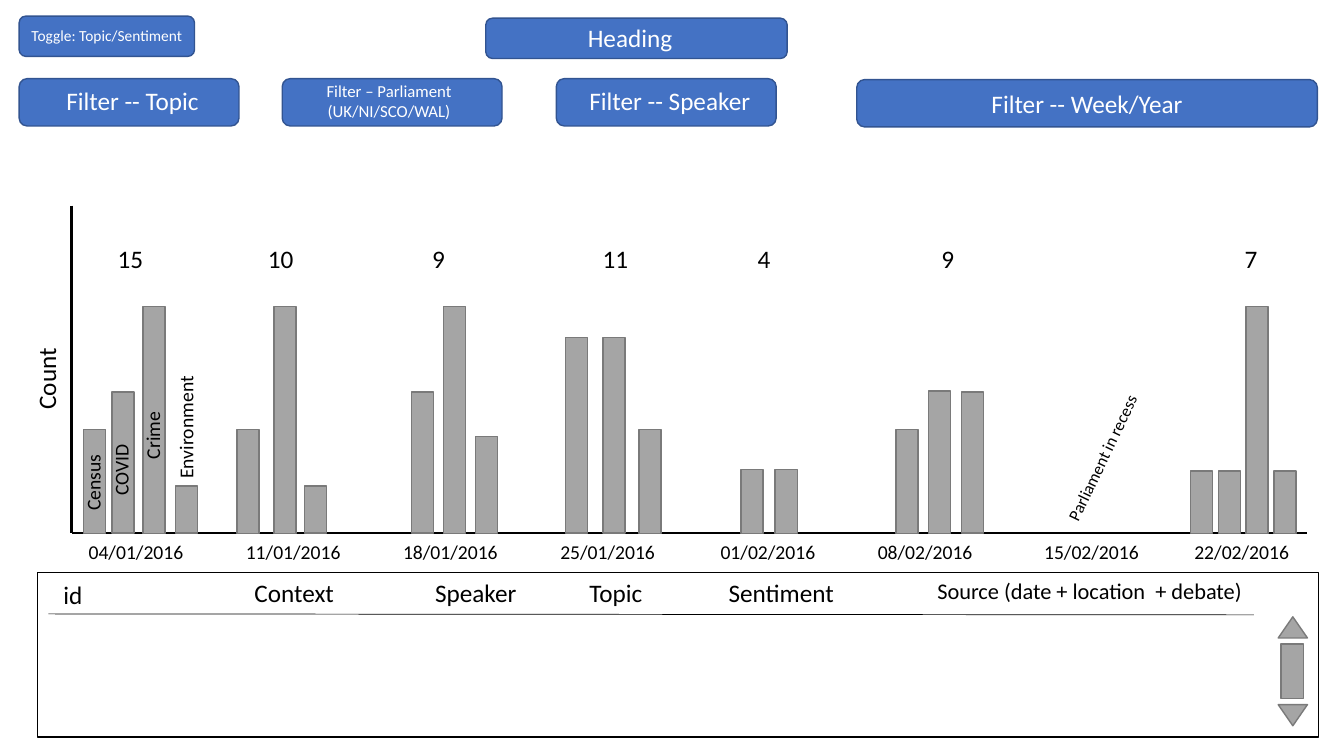
from lxml import etree
from pptx import Presentation
from pptx import util as u
from pptx.dml.color import RGBColor
from pptx.enum import shapes, text
from pptx.oxml import ns

THEME = {
    "font": "Calibri",
    "ink": "000000", "paper": "FFFFFF",
    "button": "4472C4", "button_line": "325491",
    "bar": "A5A5A5", "bar_line": "7A7A7A",
    "large": 18, "medium": 16, "axis": 14, "small": 12, "tiny": 11,
    "outline": 1, "axis_line": 1.5, "rule_line": 0.5,
}

# Label, size, button (left, top, width, height), label (left, top, width, height)
BUTTONS = [
    ("Heading", "large", (347, 13, 215.3, 28.8), (360.7, 12.2, 178.6, 29)),
    ("Filter -- Topic", "large", (13.7, 56.2, 157, 33.8), (29.5, 57.6, 130.3, 29)),
    ("Filter – Parliament (UK/NI/SCO/WAL)", "small",
     (201.6, 56.2, 157, 33.8), (199.4, 54, 157, 36)),
    ("Filter -- Speaker", "large", (397.4, 56.2, 157, 33.8), (413.3, 57.6, 130.3, 29)),
    ("Filter -- Week/Year", "large", (612, 56.9, 329, 33.8), None),
    ("Toggle: Topic/Sentiment", "tiny", (13.7, 11.5, 125.3, 28.8), (13.7, 15.1, 125.3, 20.9)),
]

# Date, date left, total, total left, bars (left, height)
WEEKS = [
    ("04/01/2016", 56.2, "15", 77, [(59.8, 74.2), (79.9, 100.8), (102.2, 162), (125.3, 33.8)]),
    ("11/01/2016", 168.5, "10", 184.3, [(169.2, 74.2), (195.8, 162), (217.4, 33.8)]),
    ("18/01/2016", 280.8, "9", 301.7, [(293.8, 100.8), (316.8, 162), (339.8, 69.1)]),
    ("25/01/2016", 393.1, "11", 423.4, [(403.9, 139.7), (430.6, 139.7), (456.5, 74.2)]),
    ("01/02/2016", 507.6, "4", 534.2, [(529.2, 45.4), (553.7, 45.4)]),
    ("08/02/2016", 619.9, "9", 665.3, [(640.1, 74.2), (663.1, 101.5), (686.9, 100.8)]),
    ("15/02/2016", 738.7, None, None, []),
    ("22/02/2016", 846, "7", 882,
     [(850.3, 44.6), (870.5, 44.6), (889.9, 162), (910.1, 44.6)]),
]

# Topic, left, top of the upright label
TOPICS = [("Census", 13.7, 332.6), ("COVID", 33.8, 323.3),
          ("Crime", 56.2, 298.8), ("Environment", 79.9, 293)]

# Column, size, centred, left, top, width
COLUMNS = [
    ("id", "large", False, 38.2, 410.4, 31),
    ("Context", "large", True, 77, 408.5, 266.4),
    ("Speaker", "large", True, 298.8, 409, 82.1),
    ("Topic", "large", True, 406.1, 408.5, 67.7),
    ("Sentiment", "large", True, 506.2, 409, 103.7),
    ("Source (date + location  + debate)", "medium", False, 662.4, 409, 244.1),
]

AXIS_LEFT, AXIS_TOP, AXIS_RIGHT, BASELINE = 51.1, 146.9, 933.8, 380.9
BAR_WIDTH = 15.8
DATE_TOP, TOTAL_TOP = 382.3, 170
LINE_HEIGHT = {"large": 29, "medium": 26.6, "axis": 24.5, "small": 21.6}


def color(name):
    """Return a theme colour."""
    return RGBColor.from_string(THEME[name])


def points(values):
    """Turn numbers into point lengths."""
    return [u.Pt(value) for value in values]


def write(shape, words, size, ink="ink", centred=True):
    """Put one formatted paragraph into a shape."""
    frame = shape.text_frame
    frame.text = words
    paragraph = frame.paragraphs[0]
    paragraph.alignment = text.PP_ALIGN.CENTER if centred else text.PP_ALIGN.LEFT
    font = paragraph.runs[0].font
    font.name, font.size = THEME["font"], u.Pt(THEME[size])
    font.color.rgb = color(ink)


def add_shape(slide, kind, box, fill, line, rotation=0):
    """Add a flat preset shape with a thin outline."""
    shape = slide.shapes.add_shape(kind, *points(box))
    shape.shadow.inherit = False
    shape.fill.solid()
    shape.fill.fore_color.rgb = color(fill)
    shape.line.color.rgb = color(line)
    shape.line.width = u.Pt(THEME["outline"])
    shape.rotation = rotation
    return shape


def add_label(slide, words, box, size, ink="ink", centred=True, wrap=True, rotation=0):
    """Add a text box that grows with its text."""
    label = slide.shapes.add_textbox(*points(box))
    write(label, words, size, ink, centred)
    label.text_frame.word_wrap = wrap
    label.text_frame.auto_size = text.MSO_AUTO_SIZE.SHAPE_TO_FIT_TEXT
    label.rotation = rotation


def add_line(slide, ends, width):
    """Add a straight line without a shadow."""
    line = slide.shapes.add_connector(shapes.MSO_CONNECTOR.STRAIGHT, *points(ends))
    line.line.color.rgb = color("ink")
    line.line.width = u.Pt(THEME[width])
    etree.SubElement(line._element.spPr, ns.qn("a:effectLst"))


def add_buttons(slide):
    """Draw the heading, toggle and filter buttons."""
    for words, size, box, label_box in BUTTONS:
        button = add_shape(slide, shapes.MSO_SHAPE.ROUNDED_RECTANGLE, box, "button", "button_line")
        if label_box:
            add_label(slide, words, label_box, size, "paper")
        else:
            write(button, words, size, "paper")
            button.text_frame.vertical_anchor = text.MSO_ANCHOR.MIDDLE


def add_weekly_counts(slide):
    """Draw the axes, the weekly bars and their labels."""
    add_line(slide, (AXIS_LEFT, AXIS_TOP, AXIS_LEFT, BASELINE), "axis_line")
    add_line(slide, (AXIS_LEFT, BASELINE, AXIS_RIGHT, BASELINE), "axis_line")
    add_label(slide, "Count", (3.6, 255.6, 59, LINE_HEIGHT["large"]), "large",
              centred=False, wrap=False, rotation=270)
    for date, date_left, total, total_left, bars in WEEKS:
        add_label(slide, date, (date_left, DATE_TOP, 82.8, LINE_HEIGHT["axis"]), "axis",
                  centred=False, wrap=False)
        if total:
            width = 14.6 + 9.2 * len(total)
            add_label(slide, total, (total_left, TOTAL_TOP, width, LINE_HEIGHT["large"]),
                      "large", centred=False, wrap=False)
        for left, height in bars:
            add_shape(slide, shapes.MSO_SHAPE.RECTANGLE,
                      (left, BASELINE - height, BAR_WIDTH, height), "bar", "bar_line")
    for topic, left, top in TOPICS:
        add_label(slide, topic, (left, top, 105.8, LINE_HEIGHT["axis"]), "axis", rotation=270)
    add_label(slide, "Parliament in recess", (730.8, 315.4, 113.8, LINE_HEIGHT["small"]),
              "small", centred=False, wrap=False, rotation=295.7)


def add_results_panel(slide):
    """Draw the results panel with its columns and scroll bar."""
    add_shape(slide, shapes.MSO_SHAPE.RECTANGLE, (26.6, 409, 915.1, 117.4), "paper", "ink")
    for words, size, centred, left, top, width in COLUMNS:
        add_label(slide, words, (left, top, width, LINE_HEIGHT[size]), size, centred=centred)
    add_line(slide, (34.6, 438.5, 895.7, 439.2), "rule_line")
    add_shape(slide, shapes.MSO_SHAPE.RECTANGLE, (915.1, 460.1, 15.8, 38.9), "bar", "bar_line")
    for top, rotation in ((440.6, 0), (503.3, 180)):
        add_shape(slide, shapes.MSO_SHAPE.ISOSCELES_TRIANGLE, (913, top, 20.9, 15.1),
                  "bar", "bar_line", rotation)


def main():
    """Build and save the dashboard slide."""
    presentation = Presentation()
    presentation.slide_width, presentation.slide_height = points((960, 540))
    slide = presentation.slides.add_slide(presentation.slide_layouts[6])
    add_results_panel(slide)
    add_buttons(slide)
    add_weekly_counts(slide)
    presentation.save("out.pptx")


main()
